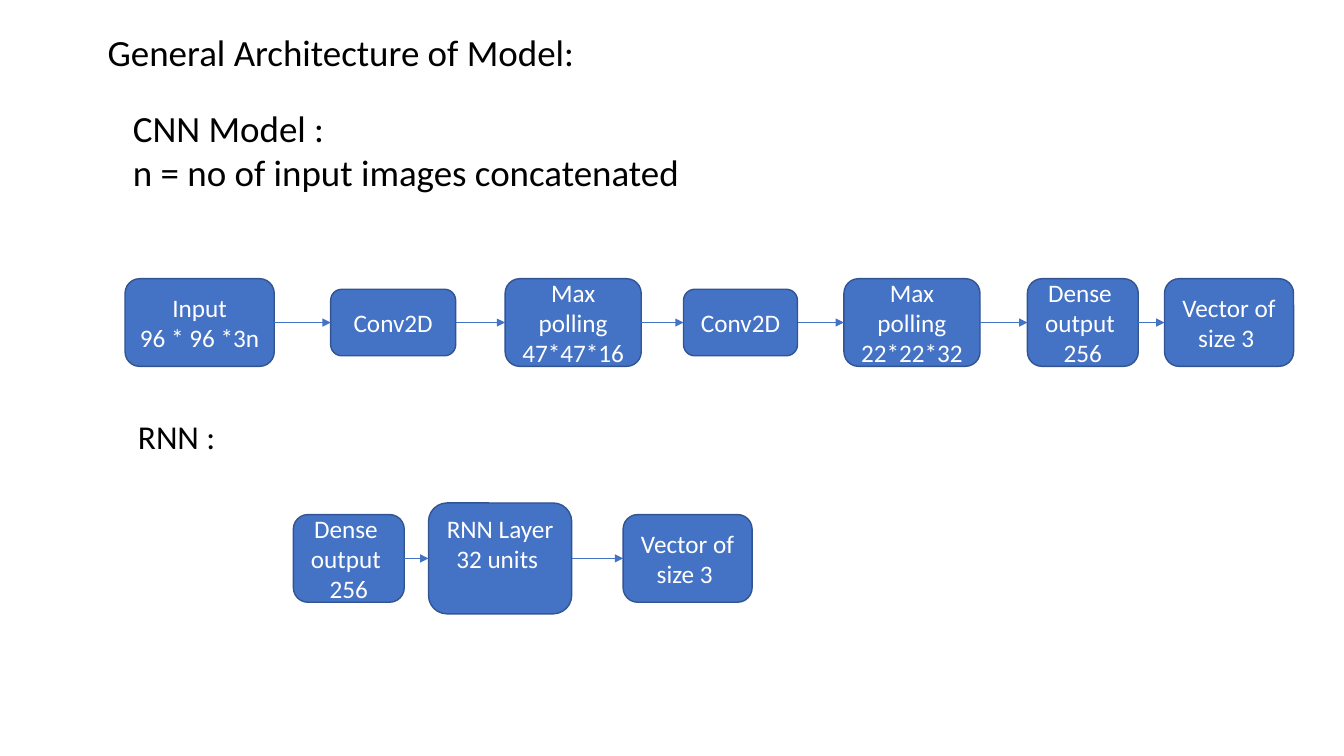
from lxml.etree import SubElement
from pptx import Presentation
from pptx.dml.color import RGBColor
from pptx.enum.shapes import MSO_CONNECTOR, MSO_SHAPE
from pptx.enum.text import MSO_ANCHOR, PP_ALIGN
from pptx.oxml.ns import qn
from pptx.util import Inches, Pt

# Content: headings as (left, top, width, height, size, lines)
HEADINGS = [
    (0.97, 0.24, 8, 0.55, 26.4, ["General Architecture of Model:"]),
    (1.22, 1.0, 8, 1.0, 26.4, ["CNN Model :", "n = no of input images concatenated"]),
    (1.27, 4.08, 3, 0.5, 23.8, ["RNN :"]),
]

# Layer kinds: width, height, anchor
LAYERS = {
    "input": (1.48, 0.87, MSO_ANCHOR.MIDDLE),
    "conv": (1.24, 0.66, MSO_ANCHOR.MIDDLE),
    "narrow conv": (1.13, 0.66, MSO_ANCHOR.MIDDLE),
    "pool": (1.35, 0.87, MSO_ANCHOR.MIDDLE),
    "dense": (1.1, 0.87, MSO_ANCHOR.MIDDLE),
    "vector": (1.28, 0.87, MSO_ANCHOR.MIDDLE),
    "rnn": (1.42, 1.1, MSO_ANCHOR.TOP),
}
DENSE = ["Dense ", "output ", "256"]
VECTOR = ["Vector of size 3 "]

# Each model: centre line, then its layers as (left, kind, lines)
MODELS = [
    (3.2, [
        (1.24, "input", ["Input", "96 * 96 *3n"]),
        (3.28, "conv", ["Conv2D"]),
        (5.01, "pool", ["Max polling", "47*47*16"]),
        (6.78, "narrow conv", ["Conv2D"]),
        (8.37, "pool", ["Max polling", "22*22*32"]),
        (10.19, "dense", DENSE),
        (11.55, "vector", VECTOR),
    ]),
    (5.54, [
        (2.91, "dense", DENSE),
        (4.25, "rnn", ["RNN Layer", "32 units "]),
        (6.18, "vector", VECTOR),
    ]),
]
COLORS = {"text": "000000", "layer": "4472C4", "edge": "325491", "label": "FFFFFF"}


def color(name):
    return RGBColor.from_string(COLORS[name])


def write(frame, lines, size, color_name, align):
    frame.word_wrap = True
    paragraph = frame.paragraphs[0]
    paragraph.alignment = align
    for index, line in enumerate(lines):
        if index:
            paragraph.add_line_break()
        run = paragraph.add_run()
        run.text = line
        run.font.name = "Calibri"
        run.font.size = Pt(size)
        run.font.color.rgb = color(color_name)


def add_layer(slide, left, middle, kind, lines):
    width, height, anchor = LAYERS[kind]
    layer = slide.shapes.add_shape(
        MSO_SHAPE.ROUNDED_RECTANGLE, Inches(left), Inches(middle - height / 2),
        Inches(width), Inches(height))
    layer.shadow.inherit = False
    layer.fill.solid()
    layer.fill.fore_color.rgb = color("layer")
    layer.line.color.rgb = color("edge")
    layer.line.width = Pt(1)
    layer.text_frame.vertical_anchor = anchor
    write(layer.text_frame, lines, 18, "label", PP_ALIGN.CENTER)
    return layer


def add_arrow(slide, source, target):
    arrow = slide.shapes.add_connector(MSO_CONNECTOR.STRAIGHT, 0, 0, 0, 0)
    arrow.begin_connect(source, 3)
    arrow.end_connect(target, 1)
    arrow.line.color.rgb = color("layer")
    arrow.line.width = Pt(0.5)
    SubElement(arrow.line._get_or_add_ln(), qn("a:tailEnd"), type="triangle")
    SubElement(arrow._element.spPr, qn("a:effectLst"))


def main():
    deck = Presentation()
    deck.slide_width, deck.slide_height = Inches(13.33), Inches(7.5)
    slide = deck.slides.add_slide(deck.slide_layouts[6])

    # Headings
    for left, top, width, height, size, lines in HEADINGS:
        heading = slide.shapes.add_textbox(
            Inches(left), Inches(top), Inches(width), Inches(height))
        write(heading.text_frame, lines, size, "text", PP_ALIGN.LEFT)

    # Layers of each model, joined in order
    for middle, layers in MODELS:
        chain = [add_layer(slide, left, middle, kind, lines)
                 for left, kind, lines in layers]
        for source, target in zip(chain, chain[1:]):
            add_arrow(slide, source, target)

    deck.save("out.pptx")


if __name__ == "__main__":
    main()
